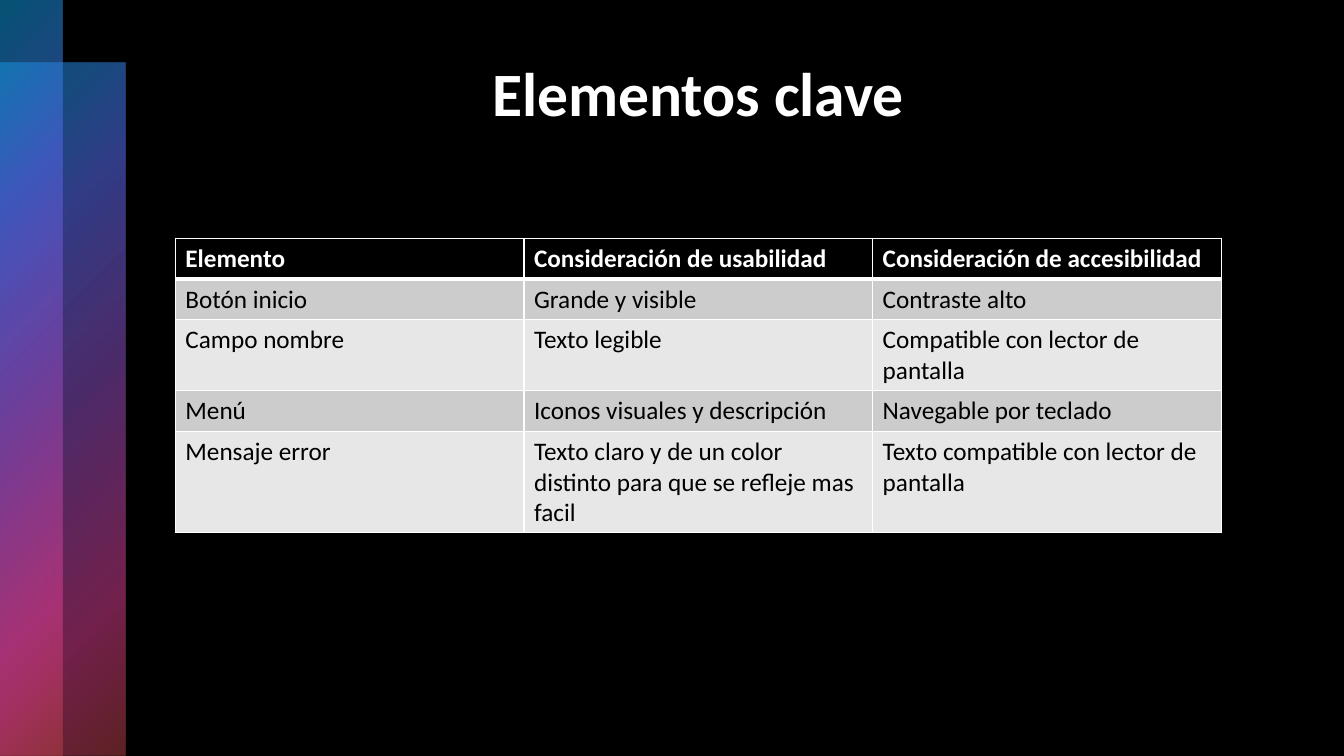
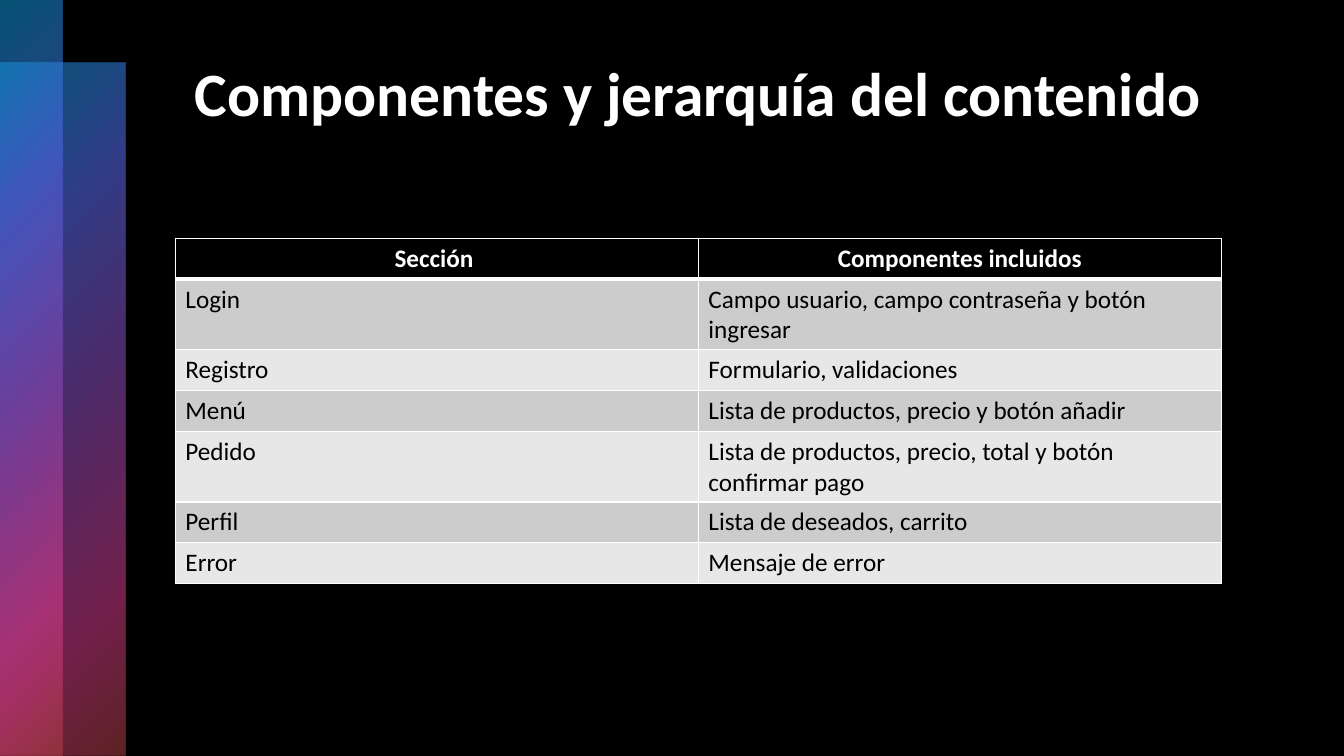
import pptx
import pptx.dml.color
import pptx.enum.shapes
import pptx.enum.text
import pptx.oxml
import pptx.oxml.ns
import pptx.util

Cm = pptx.util.Cm
Pt = pptx.util.Pt
RGBColor = pptx.dml.color.RGBColor
PP_ALIGN = pptx.enum.text.PP_ALIGN

BLACK = RGBColor(0x00, 0x00, 0x00)
WHITE = RGBColor(0xFF, 0xFF, 0xFF)
DARK_ROW = RGBColor(0xCC, 0xCC, 0xCC)
LIGHT_ROW = RGBColor(0xE7, 0xE7, 0xE7)
BLUE = RGBColor(0x0B, 0xA5, 0xE8)
INDIGO = RGBColor(0x50, 0x66, 0xE1)
PURPLE = RGBColor(0x89, 0x4E, 0xC0)
PINK = RGBColor(0xE5, 0x41, 0x96)
RED = RGBColor(0xBE, 0x44, 0x49)

FONT = "Calibri"
SLIDE_WIDTH, SLIDE_HEIGHT = Cm(33.87), Cm(19.05)
STRIP = Cm(1.58)
TITLE_BOX = (Cm(4.42), Cm(1.27), Cm(26.36), Cm(4.32))
TABLE_BOX = (Cm(4.42), Cm(6), Cm(26.36), Cm(8.9))
ROW_HEIGHT = Cm(1.03)

# Position in percent, colour, opacity in percent
BAND_STOPS = [
    (0, BLUE, 50), (25, INDIGO, 60), (50, PURPLE, 55), (81, PINK, 50), (99, RED, 50),
]

KEY_ELEMENTS = [
    ["Elemento", "Consideración de usabilidad", "Consideración de accesibilidad"],
    ["Botón inicio", "Grande y visible", "Contraste alto"],
    ["Campo nombre", "Texto legible", "Compatible con lector de pantalla"],
    ["Menú", "Iconos visuales y descripción", "Navegable por teclado"],
    ["Mensaje error", "Texto claro y de un color distinto para que se refleje mas facil",
     "Texto compatible con lector de pantalla"],
]

CONTENT_SECTIONS = [
    ["Sección ", "Componentes incluidos"],
    ["Login", "Campo usuario, campo contraseña y botón ingresar"],
    ["Registro", "Formulario, validaciones"],
    ["Menú", "Lista de productos, precio y botón añadir"],
    ["Pedido", "Lista de productos, precio, total y botón confirmar pago"],
    ["Perfil", "Lista de deseados, carrito"],
    ["Error", "Mensaje de error"],
]


def write_text(frame, text, size=18, color=BLACK, bold=False, align=PP_ALIGN.LEFT):
    frame.word_wrap = True
    para = frame.paragraphs[0]
    para.alignment = align
    span = para.add_run()
    span.text = text
    span.font.name = FONT
    span.font.size = Pt(size)
    span.font.bold = bold
    span.font.color.rgb = color


def add_band(page, box):
    """Add a translucent band whose gradient starts at its top left corner."""
    band = page.shapes.add_shape(pptx.enum.shapes.MSO_SHAPE.RECTANGLE, *box)
    band.shadow.inherit = False
    band.line.fill.background()
    stops = "".join(
        f'<a:gs pos="{position * 1000}"><a:srgbClr val="{color}">'
        f'<a:alpha val="{opacity * 1000}"/></a:srgbClr></a:gs>'
        for position, color, opacity in BAND_STOPS
    )
    gradient = pptx.oxml.parse_xml(
        f'<a:gradFill {pptx.oxml.ns.nsdecls("a")} rotWithShape="1"><a:gsLst>{stops}</a:gsLst>'
        '<a:path path="circle"><a:fillToRect r="100000" b="100000"/></a:path></a:gradFill>'
    )
    geometry = band.element.spPr.find(pptx.oxml.ns.qn("a:prstGeom"))
    geometry.addnext(gradient)


def add_title(page, box, text):
    frame = page.shapes.add_textbox(*box).text_frame
    write_text(frame, text, size=44, color=WHITE, bold=True, align=PP_ALIGN.CENTER)


def set_borders(cell, top=1, bottom=1):
    """Draw white cell borders, with widths in points."""
    properties = cell._tc.get_or_add_tcPr()
    for side, width in (("L", 1), ("R", 1), ("T", top), ("B", bottom)):
        properties.append(pptx.oxml.parse_xml(
            f'<a:ln{side} {pptx.oxml.ns.nsdecls("a")} w="{Pt(width)}">'
            f'<a:solidFill><a:srgbClr val="{WHITE}"/></a:solidFill></a:ln{side}>'
        ))


def add_grid(page, box, rows, header_align):
    left, top, width, _ = box
    columns = len(rows[0])
    table = page.shapes.add_table(
        len(rows), columns, left, top, width, ROW_HEIGHT * len(rows)).table
    for column in table.columns:
        column.width = width // columns
    for i, texts in enumerate(rows):
        table.rows[i].height = ROW_HEIGHT
        header = i == 0
        fill = BLACK if header else DARK_ROW if i % 2 else LIGHT_ROW
        for j, text in enumerate(texts):
            cell = table.cell(i, j)
            set_borders(cell, top=3 if i == 1 else 1, bottom=3 if header else 1)
            cell.fill.solid()
            cell.fill.fore_color.rgb = fill
            write_text(cell.text_frame, text, bold=header,
                       color=WHITE if header else BLACK,
                       align=header_align if header else PP_ALIGN.LEFT)


def add_table_page(deck, title, rows, header_align=PP_ALIGN.LEFT):
    page = deck.slides.add_slide(deck.slide_layouts[6])
    page.background.fill.solid()
    page.background.fill.fore_color.rgb = BLACK
    add_band(page, (0, STRIP, 2 * STRIP, SLIDE_HEIGHT - STRIP))
    add_band(page, (0, 0, STRIP, SLIDE_HEIGHT))
    add_title(page, TITLE_BOX, title)
    add_grid(page, TABLE_BOX, rows, header_align)


def main():
    deck = pptx.Presentation()
    deck.slide_width, deck.slide_height = SLIDE_WIDTH, SLIDE_HEIGHT
    add_table_page(deck, "Elementos clave", KEY_ELEMENTS)
    add_table_page(deck, "Componentes y jerarquía del contenido", CONTENT_SECTIONS,
                   header_align=PP_ALIGN.CENTER)
    deck.save("out.pptx")


if __name__ == "__main__":
    main()
